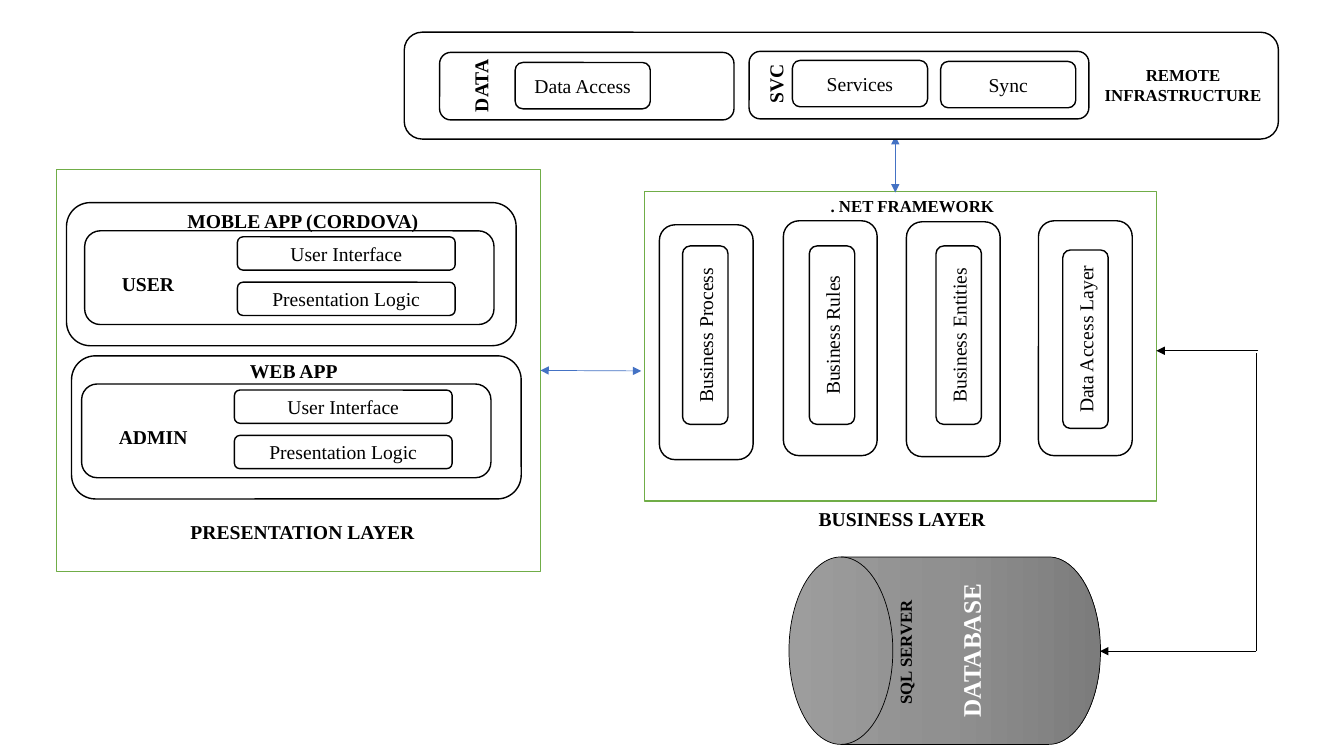
from lxml import etree
from pptx import Presentation
from pptx import util as u
from pptx.dml.color import RGBColor
from pptx.enum import shapes, text
from pptx.oxml import ns

BLACK, WHITE, GREEN, BLUE = "000000", "FFFFFF", "70AD47", "4472C4"
GREYS = ((0, "9D9D9D"), (50, "909090"), (100, "7C7C7C"))
COLUMNS, ROWS = 133.3, 75
SHAPE = shapes.MSO_SHAPE


def colour(code):
    return RGBColor.from_string(code)


class Sketch:
    """Style and current slide; every length is in grid columns and rows."""

    font, size, unit = "Times New Roman", 14, u.Inches(0.1)

    def __init__(self, deck):
        deck.slide_width = self.grid(COLUMNS)
        deck.slide_height = self.grid(ROWS)
        self.page = deck.slides.add_slide(deck.slide_layouts[6])

    def grid(self, cells):
        return u.Emu(round(cells * self.unit))

    def add_words(self, frame, lines, size, bold, ink, align):
        frame.word_wrap = True
        for index, line in enumerate(lines.split("\n")):
            para = frame.paragraphs[0] if index == 0 else frame.add_paragraph()
            para.alignment = align
            span = para.add_run()
            span.text = line
            span.font.name, span.font.size = self.font, u.Pt(size)
            span.font.bold, span.font.color.rgb = bold, colour(ink)

    def box(self, at, words="", kind=SHAPE.ROUNDED_RECTANGLE, line=BLACK,
            weight=1, turn=0, size=size, bold=False, ink=BLACK):
        shape = self.page.shapes.add_shape(kind, *map(self.grid, at))
        shape.shadow.inherit = False
        shape.rotation = turn
        shape.fill.solid()
        shape.fill.fore_color.rgb = colour(WHITE)
        shape.line.color.rgb = colour(line)
        shape.line.width = u.Pt(weight)
        if words:
            shape.text_frame.vertical_anchor = text.MSO_ANCHOR.MIDDLE
            self.add_words(shape.text_frame, words, size, bold, ink,
                           text.PP_ALIGN.CENTER)
        return shape

    def label(self, at, words, size=size, turn=0, align=text.PP_ALIGN.LEFT):
        box = self.page.shapes.add_textbox(*map(self.grid, at))
        box.rotation = turn
        self.add_words(box.text_frame, words, size, True, BLACK, align)
        box.text_frame.auto_size = text.MSO_AUTO_SIZE.SHAPE_TO_FIT_TEXT

    def arrow(self, start, end, line=BLACK, heads=()):
        link = self.page.shapes.add_connector(
            shapes.MSO_CONNECTOR.STRAIGHT, *map(self.grid, start + end))
        link.line.color.rgb = colour(line)
        link.line.width = u.Pt(0.5)
        outline = link._element.spPr.find(ns.qn("a:ln"))
        for head in heads:
            etree.SubElement(outline, ns.qn("a:" + head), type="triangle")
        etree.SubElement(link._element.spPr, ns.qn("a:effectLst"))
        return link

    def shade(self, shape, stops):
        shape.fill.gradient()
        grad = shape._element.spPr.find(ns.qn("a:gradFill"))
        for child in list(grad):
            grad.remove(child)
        stop_list = etree.SubElement(grad, ns.qn("a:gsLst"))
        for percent, code in stops:
            stop = etree.SubElement(stop_list, ns.qn("a:gs"),
                                    pos=str(percent * 1000))
            etree.SubElement(stop, ns.qn("a:srgbClr"), val=code)
        etree.SubElement(grad, ns.qn("a:lin"), ang="5400000", scaled="0")

    def app(self, card, panel_left, heading_at, heading, role):
        left, top = card
        panel_top = top + 2.8
        self.box((left, top, 44.6, 14.2))
        self.box((panel_left, panel_top, 40.6, 9.3))
        for row, words in enumerate(("User Interface", "Presentation Logic")):
            self.box((panel_left + 15.15, panel_top + 0.6 + 4.5 * row,
                      21.6, 3.3), words)
        self.label((panel_left + 2.7, panel_top + 3.55, 9, 3.3), role)
        self.label((*heading_at, 28.3, 3.3), heading)


def main():
    deck = Presentation()
    sketch = Sketch(deck)
    both, tail = ("headEnd", "tailEnd"), ("tailEnd",)

    # Presentation layer
    presentation = sketch.box((5.6, 16.8, 48, 39.9), kind=SHAPE.RECTANGLE,
                              line=GREEN)
    sketch.app((6.6, 20.1), 8.4, (17.6, 20.2), "MOBLE APP (CORDOVA)", "USER")
    sketch.app((7.1, 35.3), 8.1, (23.8, 35.1), "WEB APP", "ADMIN")
    sketch.label((17.9, 51.1, 31.3, 3.3), "PRESENTATION LAYER")

    # Business layer: upright pillars, each with a named core
    sketch.box((63.9, 19, 50.8, 30.7), kind=SHAPE.RECTANGLE, line=GREEN)
    pillars = (
        (58.4, 29.3, 31, "Business Process"),
        (70.7, 28.9, 31, "Business Rules"),
        (82.9, 29, 31, "Business Entities"),
        (96, 28.9, 31.4, "Data Access Layer"),
    )
    for index, (left, top, core_top, words) in enumerate(pillars):
        sketch.box((left, top, 23.3, 9.3), turn=270)
        sketch.box((61.1 + 12.57 * index, core_top, 17.7, 4.5), words, turn=270)
    sketch.label((80.2, 49.8, 21.6, 3.4), "BUSINESS LAYER")
    sketch.label((81.4, 18.9, 21.6, 3), ". NET FRAMEWORK", size=12)

    # Database
    database = sketch.box((84.4, 49.1, 18.6, 30.9), "DATABASE",
                          kind=SHAPE.FLOWCHART_MAGNETIC_DISK, weight=0.5,
                          turn=270, size=18, bold=True, ink=WHITE)
    sketch.shade(database, GREYS)
    sketch.label((83.5, 63.1, 12.6, 3), "SQL SERVER", size=12, turn=270)

    # Links between the layers
    link = sketch.arrow((53.6, 36.8), (63.6, 36.8), BLUE, both)
    link.begin_connect(presentation, 3)
    sketch.arrow((88.8, 13.5), (88.8, 19.1), BLUE, both)
    sketch.arrow((124.8, 34.8), (114.7, 34.8), heads=tail)
    sketch.arrow((124.6, 35), (124.6, 64.6))
    sketch.arrow((124.6, 64.6), (109.1, 64.6), heads=tail)

    # Remote infrastructure
    sketch.box((40.1, 3.2, 86.7, 10.6))
    sketch.box((43.6, 5.2, 29.2, 6.7))
    sketch.box((74.3, 5.1, 33.7, 6.7))
    for left, top, words in ((51.1, 6.2, "Data Access"), (78.6, 6, "Services"),
                             (93.3, 6.1, "Sync")):
        sketch.box((left, top, 13.4, 4.6), words)
    sketch.label((42.8, 5.8, 9.5, 3.1), "DATA", turn=270)
    sketch.label((73.7, 6.6, 6.2, 3.1), "SVC", turn=270)
    sketch.label((107.2, 5.9, 20.3, 5), "REMOTE\nINFRASTRUCTURE", size=12,
                 align=text.PP_ALIGN.CENTER)

    deck.save("out.pptx")


if __name__ == "__main__":
    main()
